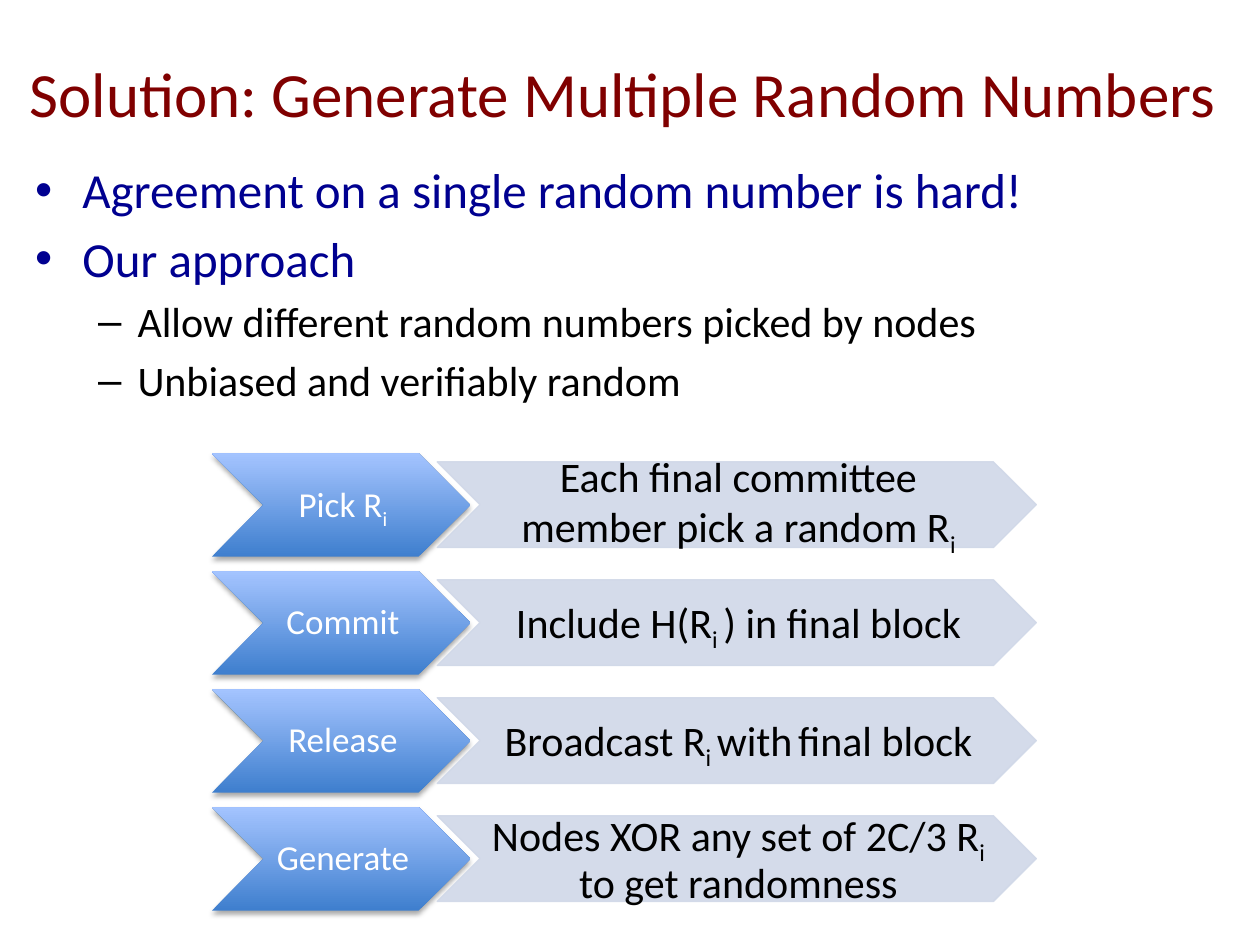
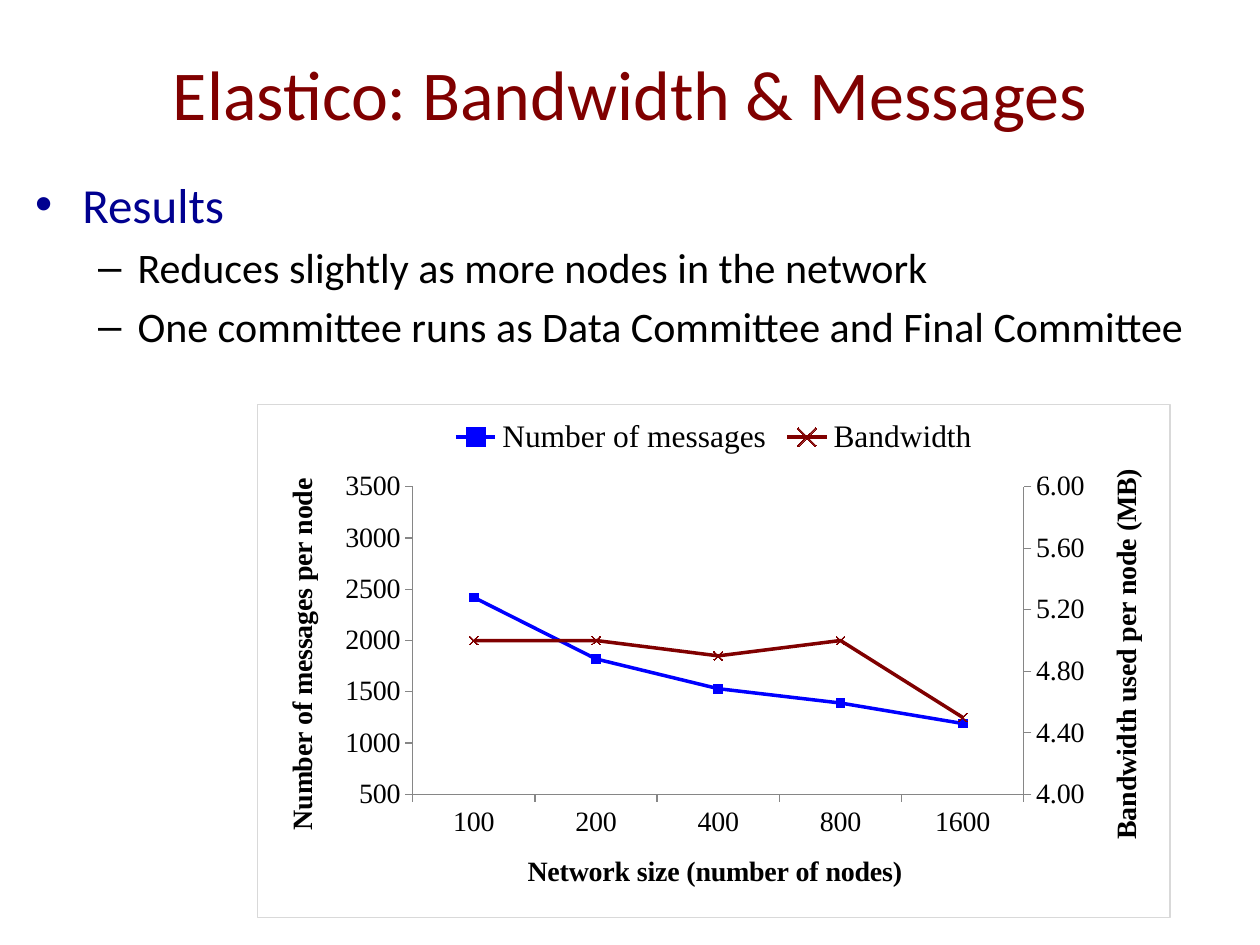
from copy import deepcopy

from pptx import Presentation
from pptx.chart.axis import ValueAxis
from pptx.chart.data import CategoryChartData
from pptx.dml.color import RGBColor
from pptx.enum.chart import XL_CHART_TYPE, XL_LEGEND_POSITION, XL_MARKER_STYLE, XL_TICK_MARK
from pptx.enum.shapes import MSO_SHAPE
from pptx.enum.text import MSO_ANCHOR, PP_ALIGN
from pptx.oxml import parse_xml
from pptx.oxml.ns import nsdecls, qn
from pptx.util import Pt

MAROON = RGBColor(0x80, 0x00, 0x00)
NAVY = RGBColor(0x00, 0x00, 0x90)
BLACK = RGBColor(0x00, 0x00, 0x00)
WHITE = RGBColor(0xFF, 0xFF, 0xFF)
BLUE = RGBColor(0x00, 0x00, 0xFF)
STEP_DARK = RGBColor(0x3F, 0x7F, 0xCE)
STEP_LIGHT = RGBColor(0xA4, 0xC4, 0xFF)
DETAIL_FILL = RGBColor(0xD0, 0xD8, 0xE8)
AXIS_GREY = RGBColor(0x86, 0x86, 0x86)
TEXT_FONT = "Calibri"
CHART_FONT = "Times New Roman"

# Per outline level: size, colour, bullet, left margin, hanging indent
LEVELS = [(28, NAVY, "•", 27, -27), (24, BLACK, "–", 58.5, -22.5)]


def write_runs(paragraph, text, size, color):
    """Add text as runs; every second piece between bars is a subscript."""
    for index, piece in enumerate(text.split("|")):
        run = paragraph.add_run()
        run.text = piece
        run.font.name = TEXT_FONT
        run.font.size = Pt(size)
        run.font.color.rgb = color
        if index % 2:
            run._r.get_or_add_rPr().set("baseline", "-25000")


def add_outline_slide(title, title_size, body_top, outline):
    slide = deck.slides.add_slide(deck.slide_layouts[6])
    heading = slide.shapes.add_textbox(Pt(0), Pt(21.6), Pt(720), Pt(62)).text_frame
    heading.word_wrap = True
    heading.vertical_anchor = MSO_ANCHOR.MIDDLE
    heading.paragraphs[0].alignment = PP_ALIGN.CENTER
    write_runs(heading.paragraphs[0], title, title_size, MAROON)

    body = slide.shapes.add_textbox(Pt(13), Pt(body_top), Pt(693.4), Pt(150)).text_frame
    body.word_wrap = True
    for index, (level, text) in enumerate(outline):
        size, color, bullet, margin, indent = LEVELS[level]
        paragraph = body.add_paragraph() if index else body.paragraphs[0]
        paragraph.level = level
        paragraph.space_before = Pt(size * 0.2)
        write_runs(paragraph, text, size, color)
        properties = paragraph._p.get_or_add_pPr()
        properties.set("marL", str(Pt(margin)))
        properties.set("indent", str(Pt(indent)))
        properties.append(parse_xml(f'<a:buFont {nsdecls("a")} typeface="Arial"/>'))
        properties.append(parse_xml(f'<a:buChar {nsdecls("a")} char="{bullet}"/>'))
    return slide


deck = Presentation()
deck.slide_width, deck.slide_height = Pt(720), Pt(540)

# Slide 1: four steps, each a dark chevron followed by a pale one
solution = add_outline_slide("Solution: Generate Multiple Random Numbers ", 36, 87.8, [
    (0, "Agreement on a single random number is hard!"),
    (0, "Our approach"),
    (1, "Allow different random numbers picked by nodes"),
    (1, "Unbiased and verifiably random"),
])

STEPS = [
    ("Pick R|i", "Each final committee member pick a random R|i"),
    ("Commit", "Include H(R|i |) in final block"),
    ("Release", "Broadcast R|i |with| |final block"),
    ("Generate", "Nodes XOR any set of 2C/3 R|i |to get randomness"),
]
for row, (step, detail) in enumerate(STEPS):
    top = 259.1 + row * 67.4
    step_chevron = solution.shapes.add_shape(
        MSO_SHAPE.CHEVRON, Pt(121.2), Pt(top), Pt(147.5), Pt(59))
    detail_chevron = solution.shapes.add_shape(
        MSO_SHAPE.CHEVRON, Pt(249.8), Pt(top + 4.8), Pt(342.4), Pt(49))

    step_chevron.fill.gradient()
    step_chevron.fill.gradient_angle = 90
    for stop, color in zip(step_chevron.fill.gradient_stops, (STEP_DARK, STEP_LIGHT)):
        stop.color.rgb = color
    step_chevron.line.fill.background()

    detail_chevron.fill.solid()
    detail_chevron.fill.fore_color.rgb = DETAIL_FILL
    detail_chevron.line.color.rgb = DETAIL_FILL
    detail_chevron.line.width = Pt(0.75)
    for color in detail_chevron.element.spPr.iter(qn("a:srgbClr")):
        color.append(parse_xml(f'<a:alpha {nsdecls("a")} val="90000"/>'))

    for chevron, text, size, color, inset in (
            (step_chevron, step, 20, WHITE, 0.9), (detail_chevron, detail, 24, BLACK, 1.2)):
        chevron.shadow.inherit = False
        frame = chevron.text_frame
        frame.word_wrap = True
        frame.vertical_anchor = MSO_ANCHOR.MIDDLE
        frame.margin_left, frame.margin_right = Pt(2), Pt(0)
        frame.margin_top = frame.margin_bottom = Pt(inset)
        frame.paragraphs[0].alignment = PP_ALIGN.CENTER
        frame.paragraphs[0].line_spacing = 0.9
        write_runs(frame.paragraphs[0], text, size, color)

    step_chevron.element.spPr.find(qn("a:effectLst")).append(parse_xml(
        f'<a:outerShdw {nsdecls("a")} blurRad="{Pt(3.1)}" dist="{Pt(1.8)}" dir="5400000" '
        'rotWithShape="0"><a:srgbClr val="000000"><a:alpha val="35000"/></a:srgbClr>'
        '</a:outerShdw>'))

# Slide 2: messages on the left axis, bandwidth on the right one
results = add_outline_slide("Elastico: Bandwidth & Messages", 40, 96.2, [
    (0, "Results"),
    (1, "Reduces slightly as more nodes in the network"),
    (1, "One committee runs as Data Committee and Final Committee"),
])

costs = CategoryChartData()
costs.categories = ["100", "200", "400", "800", "1600"]
costs.add_series("Number of messages", (2420, 1820, 1530, 1390, 1190))
costs.add_series("Bandwidth", (5, 5, 4.9, 5, 4.5))
chart = results.shapes.add_chart(
    XL_CHART_TYPE.LINE_MARKERS, Pt(146.9), Pt(230.9), Pt(522), Pt(293.8), costs).chart
chart.has_title = False
chart.font.name = CHART_FONT
chart.font.size = Pt(16)
chart.font.color.rgb = BLACK
chart.has_legend = True
chart.legend.position = XL_LEGEND_POSITION.TOP
chart.legend.include_in_layout = False
chart.legend.font.name = CHART_FONT
chart.legend.font.size = Pt(18)
chart.legend.font.color.rgb = BLACK

message_plot = chart.plots[0]
message_plot.vary_by_categories = False
for series, color, style in zip(message_plot.series, (BLUE, MAROON),
                                (XL_MARKER_STYLE.SQUARE, XL_MARKER_STYLE.X)):
    series.smooth = False
    series.format.line.color.rgb = color
    series.format.line.width = Pt(2)
    series.marker.style = style
    series.marker.size = 5
    series.marker.format.fill.solid()
    series.marker.format.fill.fore_color.rgb = color
    series.marker.format.line.color.rgb = color

# Move bandwidth to a second line plot with its own pair of axes
plot_area = chart.element.find(".//" + qn("c:plotArea"))
message_lines = plot_area.find(qn("c:lineChart"))
bandwidth_lines = deepcopy(message_lines)
message_lines.remove(message_lines.findall(qn("c:ser"))[1])
bandwidth_lines.remove(bandwidth_lines.findall(qn("c:ser"))[0])
message_lines.addnext(bandwidth_lines)

left_element = plot_area.find(qn("c:valAx"))
right_element = deepcopy(left_element)
hidden_element = deepcopy(plot_area.find(qn("c:catAx")))
left_element.addnext(right_element)
right_element.addnext(hidden_element)
for axis_id, new_id in zip(bandwidth_lines.findall(qn("c:axId")), ("50010", "50020")):
    axis_id.set("val", new_id)
for element, own_id, cross_id in ((hidden_element, "50010", "50020"),
                                  (right_element, "50020", "50010")):
    element.find(qn("c:axId")).set("val", own_id)
    element.find(qn("c:crossAx")).set("val", cross_id)
hidden_element.find(qn("c:delete")).set("val", "1")
right_element.find(qn("c:axPos")).set("val", "r")
right_element.find(qn("c:crosses")).set("val", "max")

left_axis, right_axis = ValueAxis(left_element), ValueAxis(right_element)
for axis, title in ((chart.category_axis, "Network size (number of nodes)"),
                    (left_axis, "Number of messages per node"),
                    (right_axis, "Bandwidth used per node (MB)")):
    axis.has_major_gridlines = False
    axis.major_tick_mark = XL_TICK_MARK.OUTSIDE
    axis.minor_tick_mark = XL_TICK_MARK.NONE
    axis.format.line.color.rgb = AXIS_GREY
    axis.format.line.width = Pt(0.75)
    run = axis.axis_title.text_frame.paragraphs[0].add_run()
    run.text = title
    run.font.name = CHART_FONT
    run.font.size = Pt(16)
    run.font.bold = True
    run.font.color.rgb = BLACK

for axis, low, high, step, number_format in ((left_axis, 500, 3500, 500, "0"),
                                             (right_axis, 4, 6, 0.4, "0.00")):
    axis.minimum_scale, axis.maximum_scale, axis.major_unit = low, high, step
    axis.tick_labels.number_format = number_format
    axis.tick_labels.number_format_is_linked = False
    axis.axis_title.element.find(".//" + qn("a:bodyPr")).set("rot", "-5400000")

for layout in plot_area.findall(qn("c:layout")):
    plot_area.remove(layout)
plot_area.insert(0, parse_xml(
    f'<c:layout {nsdecls("c")}><c:manualLayout><c:layoutTarget val="inner"/>'
    '<c:xMode val="edge"/><c:yMode val="edge"/><c:x val="0.17"/><c:y val="0.16"/>'
    '<c:w val="0.67"/><c:h val="0.6"/></c:manualLayout></c:layout>'))
chart.element.find(qn("c:chart")).addnext(parse_xml(
    f'<c:spPr {nsdecls("c", "a")}><a:solidFill><a:srgbClr val="FFFFFF"/></a:solidFill>'
    f'<a:ln w="{Pt(0.75)}"><a:solidFill><a:srgbClr val="D9D9D9"/></a:solidFill></a:ln></c:spPr>'))

deck.save("out.pptx")
